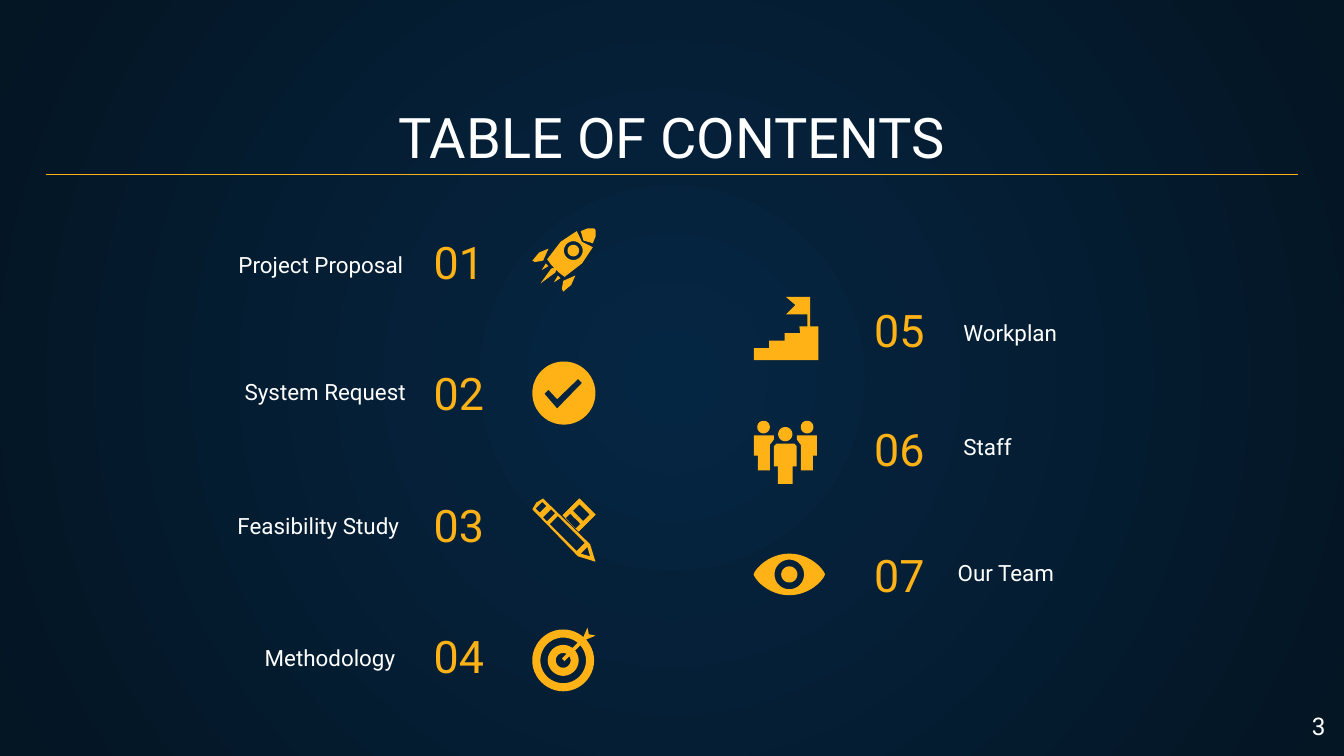
import math

from lxml import etree
from pptx import Presentation
from pptx.dml.color import RGBColor
from pptx.enum import shapes, text
from pptx.oxml import ns
from pptx.util import Pt

AMBER = RGBColor(0xFF, 0xB2, 0x15)
WHITE = RGBColor(0xFF, 0xFF, 0xFF)
NAVY = RGBColor(0x05, 0x26, 0x43)
MIDNIGHT = RGBColor(0x04, 0x15, 0x23)
FONT = "Roboto"
ICON_UNIT = 0.72
ICON_SIZE = 47
LEFT, CENTER, RIGHT = text.PP_ALIGN.LEFT, text.PP_ALIGN.CENTER, text.PP_ALIGN.RIGHT
BOTTOM, TOP = text.MSO_ANCHOR.BOTTOM, text.MSO_ANCHOR.TOP


def circle(x, y, radius):
    """Return the points of a circle."""
    angles = [math.tau * step / 48 for step in range(48)]
    return [(x + radius * math.cos(a), y + radius * math.sin(a)) for a in angles]


def lens(width, height):
    """Return an eye outline with pointed ends."""
    unit = circle(0, 0, 1)
    return [(width / 2 * (1 + x), height / 2 * (1 + y * math.sqrt(abs(y)))) for x, y in unit]


def band(start, end, width):
    """Return a straight bar of the given width between two points."""
    (x1, y1), (x2, y2) = start, end
    scale = width / 2 / math.dist(start, end)
    dx, dy = (y1 - y2) * scale, (x2 - x1) * scale
    return [(x1 + dx, y1 + dy), (x2 + dx, y2 + dy), (x2 - dx, y2 - dy), (x1 - dx, y1 - dy)]


def diagonal(start, end, width):
    """Return a bar along the falling diagonal."""
    return band((start, start), (end, end), width)


def flip(points):
    """Mirror points from side to side."""
    return [(ICON_SIZE - x, y) for x, y in reversed(points)]


def swap(points):
    """Mirror points across the rising diagonal."""
    return [(ICON_SIZE - y, ICON_SIZE - x) for x, y in reversed(points)]


def rocket():
    """Return the parts of the rocket."""
    nose = [(38, 9), (36, 2), (41, 0), (46, 0)]
    body = [(37, 10), (33, 2), (21, 10), (11, 23), (14, 27)]
    fin = [(12, 15), (5, 18), (0, 24), (2, 25), (8, 24)]
    spark = [(10, 26), (7, 31), (12, 28)]
    flame = [(19, 28), (14, 30), (6, 41)]
    return [[nose + swap(nose)], [body + swap(body), circle(30.5, 16.5, 7)], [circle(30.5, 16.5, 4.3)],
            [fin], [swap(fin)], [spark], [swap(spark)], [flame + swap(flame)]]


def check():
    """Return the disc with a tick cut out."""
    tick = [(9, 24), (12, 21), (18.5, 28), (34, 13), (37, 16), (18.5, 35)]
    return [[circle(23.5, 23.5, 23.5), tick]]


def tools():
    """Return a pencil crossing a ruler."""
    half_ruler = [band((41, 6), (28.5, 18.5), 17), band((39, 8), (28.5, 18.5), 11)]
    mark = band((28, 9), (33, 14), 3)
    pencil = [(0, 8), (3, 3), (8, 0), (43, 34), (47, 47), (34, 43)]
    holes = [diagonal(5, 8, 7), diagonal(11, 14, 8.5), diagonal(16, 36, 8.5), [(41, 36), (43, 43), (36, 41)]]
    return [half_ruler, [swap(points) for points in half_ruler], [mark], [swap(mark)], [pencil] + holes]


def target():
    """Return rings with an arrow in the middle."""
    edge = [(22, 23), (38, 7), (41, 0), (42, 5)]
    arrow = edge + swap(edge)
    return [[circle(23, 24.5, radius) for radius in (23, 17, 11.5, 5.5)], [arrow]]


def stairs():
    """Return steps with a flag on top."""
    steps = [corner for n in range(3)
             for corner in ((11.5 * n, 38 - 5.5 * n), (11.5 * (n + 1), 38 - 5.5 * n))]
    flag = [(34, 22), (40, 22), (40, 13), (24, 13), (31, 6), (24, 0), (42, 0), (42, 22)]
    return [[steps + flag + [(48, 22), (48, 47), (0, 47)]]]


def people():
    """Return three standing figures."""
    head = circle(7.3, 4.7, 4.7)
    side = [(0, 11), (15, 11), (15, 14), (12, 18), (12, 37), (3, 37), (3, 26), (0, 26)]
    front = [(17, 17), (15, 19), (15, 34), (18, 34), (18, 47)]
    return [[head], [side], [flip(head)], [flip(side)], [front + flip(front)], [circle(23.5, 10, 5.3)]]


def eye():
    """Return an eye with iris and pupil."""
    return [[lens(53, 31)] + [circle(26.5, 15.5, radius) for radius in (11, 6)]]


LEFT_ENTRIES = [
    ("01", 0, "Project Proposal", (3.6, 16.2), rocket, 8.4),
    ("02", 70.5, "System Request", (5, 84), check, 79.7),
    ("03", 141, "Feasibility Study", (1.4, 156), tools, 153.1),
    ("04", 211.5, "Methodology", (-0.7, 226.5), target, 222.2),
]
RIGHT_ENTRIES = [
    ("05", 0.5, "Workplan", (106, 16.3), stairs, 9.1),
    ("06", 64.5, "Staff", (106, 77.5), people, 75.4),
    ("07", 132.2, "Our Team", (103, 145.2), eye, 146.6),
]


def add_text(page, box, words, size, color, align, anchor=BOTTOM):
    """Place one line of text in a box of left, top, width and height."""
    frame = page.shapes.add_textbox(*map(Pt, box)).text_frame
    frame.word_wrap = True
    frame.vertical_anchor = anchor
    frame.margin_left = frame.margin_right = frame.margin_top = frame.margin_bottom = Pt(7.2)
    para = frame.paragraphs[0]
    para.text = words
    para.alignment = align
    para.font.name, para.font.size, para.font.color.rgb = FONT, Pt(size), color


def add_icon(page, left, top, parts):
    """Draw an icon, grouping its parts when there are several."""
    holder = page.shapes.add_group_shape().shapes if len(parts) > 1 else page.shapes
    for part in parts:
        contours = [[(Pt(left + x * ICON_UNIT), Pt(top + y * ICON_UNIT)) for x, y in points]
                    for points in part]
        builder = holder.build_freeform(*contours[0][0])
        for index, points in enumerate(contours):
            if index:
                builder.move_to(*points[0])
            builder.add_line_segments(points[1:], close=True)
        shape = builder.convert_to_shape()
        shape.shadow.inherit = False
        shape.fill.solid()
        shape.fill.fore_color.rgb = AMBER
        shape.line.fill.background()


def add_background(page):
    """Fill the page with a circular gradient."""
    fill = page.background.fill
    fill.gradient()
    for stop, color in zip(fill.gradient_stops, (NAVY, MIDNIGHT)):
        stop.color.rgb = color
    gradient = page.element.find(".//" + ns.qn("a:gradFill"))
    radial = etree.Element(ns.qn("a:path"), {"path": "circle"})
    etree.SubElement(radial, ns.qn("a:fillToRect"), dict.fromkeys("ltrb", "50000"))
    gradient.replace(gradient.find(ns.qn("a:lin")), radial)


def add_heading(page, left, top, width):
    """Place the title and the rule under it."""
    add_text(page, (left, top, width, 47.5), "TABLE OF CONTENTS", 30, WHITE, CENTER)
    y = Pt(top + 43.2)
    rule = page.shapes.add_connector(shapes.MSO_CONNECTOR.STRAIGHT, Pt(left), y, Pt(left + width), y)
    rule.line.color.rgb, rule.line.width = AMBER, Pt(0.75)
    etree.SubElement(rule.element.spPr, ns.qn("a:effectLst"))


def add_column(page, left, top, entries, number_x, icon_x, number_align, label_align):
    """Place a column of numbered entries with their icons."""
    for number, number_y, label, (label_x, label_y), icon, icon_y in entries:
        add_text(page, (left + number_x, top + number_y, 92.9, 47.5), number, 24, AMBER, number_align)
        add_text(page, (left + label_x, top + label_y, 165.6, 26), label, 12, WHITE, label_align)
        add_icon(page, left + icon_x, top + icon_y, icon())


def main():
    """Build and save the deck."""
    deck = Presentation()
    deck.slide_width, deck.slide_height = Pt(720), Pt(405)
    page = deck.slides.add_slide(deck.slide_layouts[6])
    add_background(page)
    add_heading(page, 24.5, 50.4, 671)
    add_column(page, 54, 114, LEFT_ENTRIES, 171.2, 231.2, LEFT, RIGHT)
    add_column(page, 403, 150, RIGHT_ENTRIES, 6.5, 0.8, RIGHT, LEFT)
    add_text(page, (674, 373.7, 43.2, 31), "3", 13, WHITE, RIGHT, TOP)
    deck.save("out.pptx")


if __name__ == "__main__":
    main()
